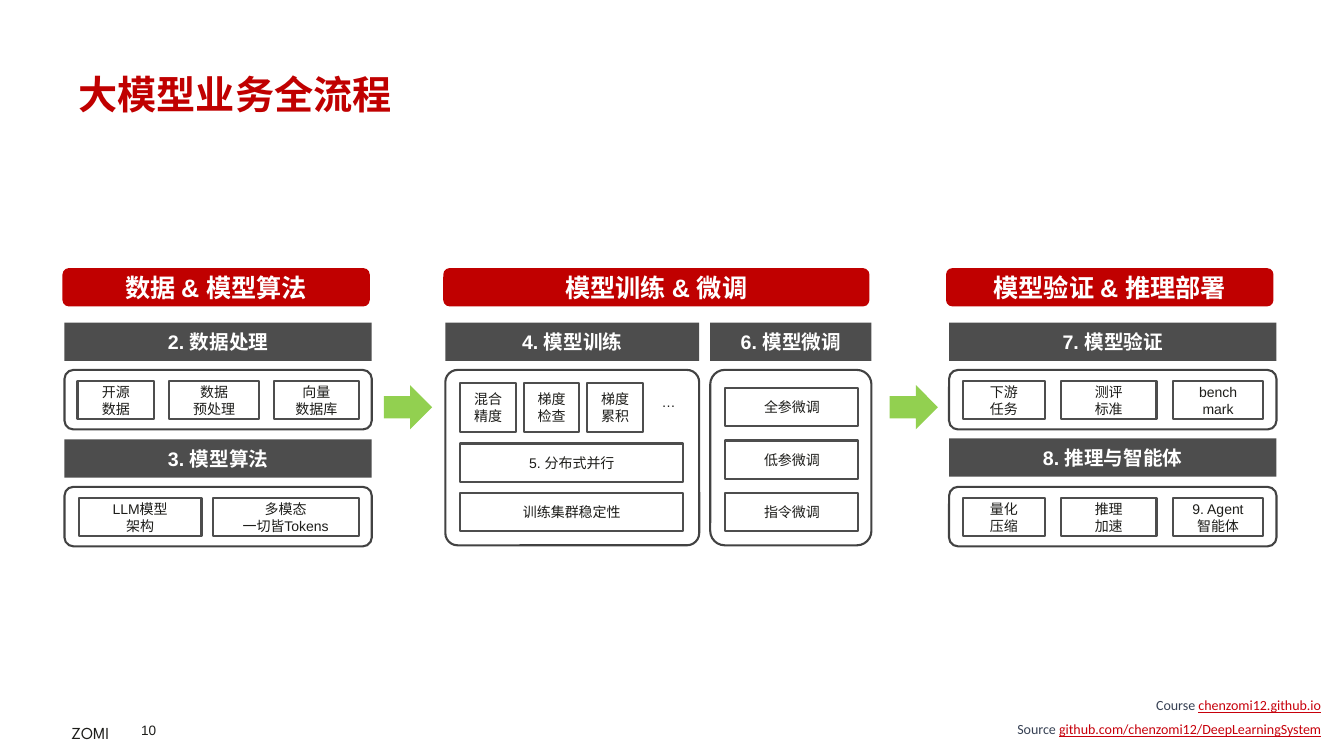
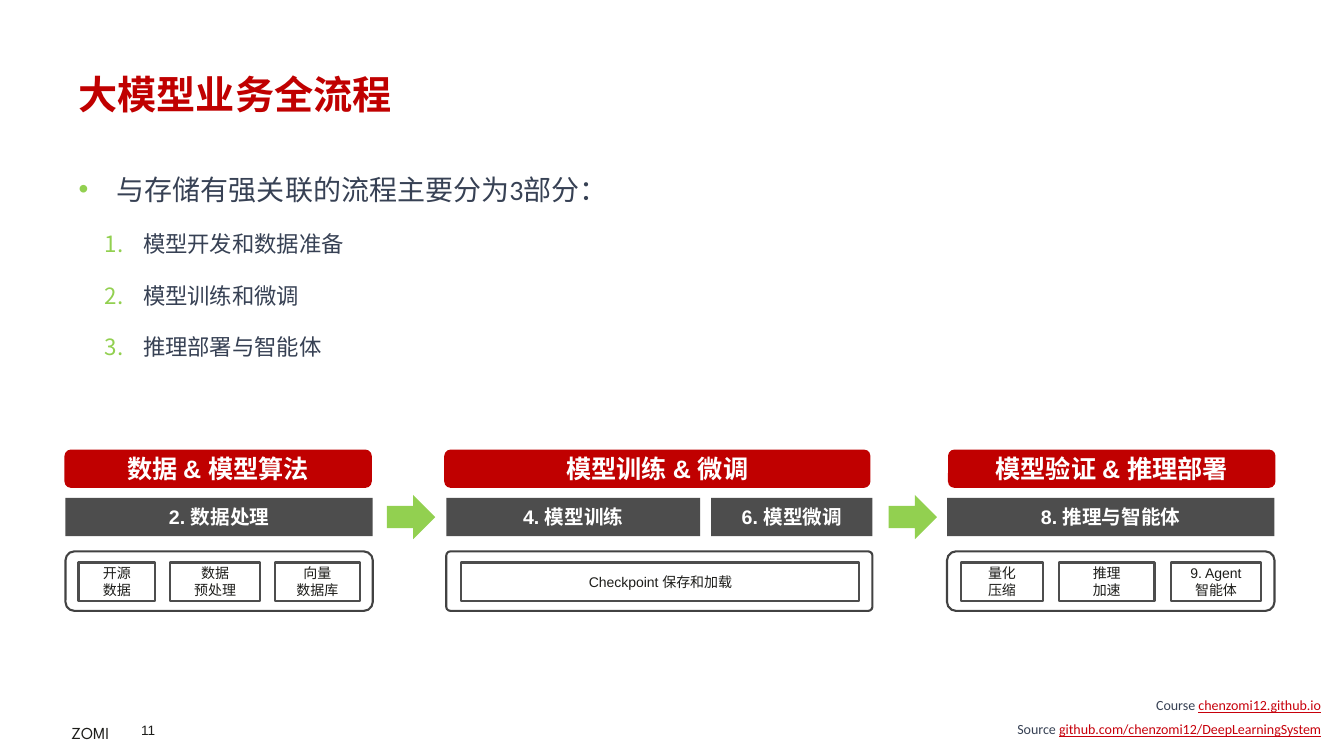
from collections import namedtuple

from lxml.etree import SubElement
from pptx import Presentation
from pptx.dml.color import RGBColor
from pptx.enum.lang import MSO_LANGUAGE_ID as Language
from pptx.enum.shapes import MSO_SHAPE as Shape
from pptx.enum.text import MSO_ANCHOR as Anchor, MSO_AUTO_SIZE as AutoSize, PP_ALIGN as Align
from pptx.oxml.ns import qn
from pptx.util import Inches, Pt

COLORS = {
    "title": "C00000",
    "heading": "4D4D4D",
    "panel": "424242",
    "accent": "92D050",
    "white": "FFFFFF",
    "ink": "1D1D1A",
    "body": "374154",
    "link": "C7000B",
}
TITLE_FONT = {"name": "League Spartan", "size": 28, "color": "title", "bold": True}
BANNER_FONT = {"name": "Arial", "size": 18, "color": "white", "bold": True}
HEADING_FONT = {"name": "Arial", "size": 14, "color": "white", "bold": True}
CELL_FONT = {"name": "Arial", "size": 10, "color": "ink"}
BODY_FONT = {"name": "Calibri", "size": 20, "color": "body"}
STEP_FONT = {**BODY_FONT, "size": 16}
AUTHOR_FONT = {"name": "League Spartan", "size": 12, "color": "ink"}
PAGE_FONT = {"name": "Arial", "size": 9.7, "color": "ink"}
FOOTER_FONT = {"name": "Calibri", "size": 10, "color": "body"}
LINK_FONT = {**FOOTER_FONT, "color": "link", "underline": True}

BAR_HEIGHT = 0.38
PANEL_HEIGHT = 0.59

# Offsets of a cell are measured from the corner of its panel
Cell = namedtuple("Cell", "text left width top height", defaults=(0.11, 0.38))


def cell_row(texts, lefts, widths):
    return [Cell(*values) for values in zip(texts, lefts, widths)]


def data_cells():
    return cell_row(["开源\n数据", "数据\n预处理", "向量\n数据库"],
                    [0.13, 1.04, 2.08], [0.76, 0.89, 0.84])


def serving_cells(texts):
    return cell_row(texts, [0.14, 1.11, 2.22], [0.81, 0.95, 0.9])


AGENT_CELLS = serving_cells(["量化\n压缩", "推理\n加速", "9. Agent\n智能体"])


def rgb(name):
    return RGBColor.from_string(COLORS[name])


def style_font(font, style):
    font.language_id = Language.SIMPLIFIED_CHINESE
    for key, value in style.items():
        if key == "color":
            font.color.rgb = rgb(value)
        else:
            setattr(font, key, Pt(value) if key == "size" else value)


def add_run(paragraph, text, style):
    run = paragraph.add_run()
    run.text = text
    style_font(run.font, style)


def write(frame, text, style, align=Align.CENTER):
    """Write each line of the text as one paragraph."""
    for index, line in enumerate(text.split("\n")):
        paragraph = frame.add_paragraph() if index else frame.paragraphs[0]
        paragraph.alignment = align
        add_run(paragraph, line, style)


def place(shape, box):
    for side, value in zip(("left", "top", "width", "height"), box):
        setattr(shape, side, Inches(value))


def add_block(slide, kind, box, fill=None, line=None, text="", style=CELL_FONT):
    shape = slide.shapes.add_shape(kind, *map(Inches, box))
    shape.shadow.inherit = False
    if fill:
        shape.fill.solid()
        shape.fill.fore_color.rgb = rgb(fill)
    else:
        shape.fill.background()
    if line:
        shape.line.color.rgb = rgb(line)
        shape.line.width = Pt(1.5)
    else:
        shape.line.fill.background()
    if text:
        shape.text_frame.vertical_anchor = Anchor.MIDDLE
        write(shape.text_frame, text, style)
    return shape


def add_text(slide, box, pieces, align=Align.LEFT, spacing=1.0, anchor=Anchor.TOP, margin=None):
    """Add a one-paragraph text box made of (text, style) pieces."""
    frame = slide.shapes.add_textbox(*map(Inches, box)).text_frame
    frame.word_wrap = True
    frame.vertical_anchor = anchor
    if margin is not None:
        for side in ("left", "top", "right", "bottom"):
            setattr(frame, f"margin_{side}", Inches(margin))
    paragraph = frame.paragraphs[0]
    paragraph.alignment = align
    paragraph.line_spacing = spacing
    for text, style in pieces:
        add_run(paragraph, text, style)


def add_banner(slide, left, top, width, text):
    add_block(slide, Shape.ROUNDED_RECTANGLE, (left, top, width, BAR_HEIGHT),
              fill="title", text=text, style=BANNER_FONT)


def add_heading(slide, left, top, width, text):
    add_block(slide, Shape.RECTANGLE, (left, top, width, BAR_HEIGHT),
              fill="heading", text=text, style=HEADING_FONT)


def add_panel(slide, left, top, width, cells, height=PANEL_HEIGHT, corner=0.15):
    panel = add_block(slide, Shape.ROUNDED_RECTANGLE, (left, top, width, height), line="panel")
    panel.adjustments[0] = corner
    for cell in cells:
        add_block(slide, Shape.RECTANGLE,
                  (left + cell.left, top + cell.top, cell.width, cell.height),
                  line="heading", text=cell.text)


def add_section(slide, left, top, width, heading, cells, gap=0.47, **panel_format):
    """Add a heading bar with a panel of cells below it."""
    add_heading(slide, left, top, width, heading)
    add_panel(slide, left, top + gap, width, cells, **panel_format)


def add_arrows(slide, top, lefts):
    for left in lefts:
        add_block(slide, Shape.RIGHT_ARROW, (left, top, 0.48, 0.44), fill="accent")


def add_banners(slide, top, lefts):
    texts = ["数据 & 模型算法", "模型训练 & 微调", "模型验证 & 推理部署"]
    for left, width, text in zip(lefts, [3.05, 4.23, 3.25], texts):
        add_banner(slide, left, top, width, text)


def add_footer(slide, number):
    add_text(slide, (0.61, 7.08, 0.8, 0.32), [("ZOMI", AUTHOR_FONT)], spacing=1.2)
    add_text(slide, (1.4, 7.16, 0.55, 0.16), [(str(number), PAGE_FONT)], margin=0)
    add_text(slide, (9.27, 6.85, 3.94, 0.29),
             [("Course ", FOOTER_FONT), ("chenzomi12.github.io", LINK_FONT)],
             align=Align.RIGHT, anchor=Anchor.MIDDLE)
    add_text(slide, (9.27, 7.07, 3.94, 0.29),
             [("Source ", FOOTER_FONT), ("github.com/chenzomi12/DeepLearningSystem", LINK_FONT)],
             align=Align.RIGHT, spacing=1.2)


def start_slide(presentation, layout_index, number):
    """Add a slide with the shared title and footer."""
    slide = presentation.slides.add_slide(presentation.slide_layouts[layout_index])
    title = slide.shapes.title
    place(title, (0.68, 0.61, 11.99, 0.64))
    frame = title.text_frame
    frame.auto_size = AutoSize.NONE
    frame.vertical_anchor = Anchor.MIDDLE
    write(frame, "大模型业务全流程", TITLE_FONT, Align.LEFT)
    frame.paragraphs[0].line_spacing = Pt(34.4)
    add_footer(slide, number)
    return slide


def add_bullet(paragraph, indent, tag, **attributes):
    properties = paragraph._p.get_or_add_pPr()
    properties.set("marL", str(Inches(indent)))
    properties.set("indent", str(Inches(-0.38)))
    color = SubElement(properties, qn("a:buClr"))
    SubElement(color, qn("a:srgbClr"), val=COLORS["accent"])
    SubElement(properties, qn("a:buFont"), typeface="Arial")
    SubElement(properties, qn(tag), **attributes)


def fill_outline(body, lead, steps):
    place(body, (0.68, 1.49, 11.99, 5.46))
    frame = body.text_frame
    frame.auto_size = AutoSize.NONE
    write(frame, lead, BODY_FONT, Align.LEFT)
    add_bullet(frame.paragraphs[0], 0.38, "a:buChar", char="•")
    for step in steps:
        paragraph = frame.add_paragraph()
        paragraph.level = 1
        add_bullet(paragraph, 0.64, "a:buAutoNum", type="arabicPeriod")
        add_run(paragraph, step, STEP_FONT)
    for paragraph in frame.paragraphs:
        paragraph.line_spacing = 1.5
        paragraph.space_before = Pt(0)
        paragraph.space_after = Pt(8)


def add_data_stage(slide, left, top):
    add_section(slide, left, top, 3.05, "2. 数据处理", data_cells())
    models = cell_row(["LLM模型\n架构", "多模态\n一切皆Tokens"], [0.14, 1.47], [1.22, 1.45])
    add_section(slide, left, top + 1.16, 3.05, "3. 模型算法", models)


def add_training_stage(slide, left, top):
    checks = ["混合精度", "梯度检查", "梯度累积"]
    cells = [Cell(text, 0.15 + 0.63 * index, 0.55, 0.13, 0.49)
             for index, text in enumerate(checks)]
    cells += [Cell("5. 分布式并行", 0.15, 2.21, 0.73), Cell("训练集群稳定性", 0.15, 2.21, 1.22)]
    add_section(slide, left, top, 2.52, "4. 模型训练", cells, height=1.74, corner=0.07)
    add_text(slide, (left + 2.02, top + 0.65, 0.39, 0.27), [("…", CELL_FONT)], align=Align.CENTER)
    tuning = [Cell(text, 0.15, 1.32, 0.18 + 0.52 * index)
              for index, text in enumerate(["全参微调", "低参微调", "指令微调"])]
    add_section(slide, left + 2.63, top, 1.6, "6. 模型微调", tuning, height=1.74, corner=0.09)


def add_serving_stage(slide, left, top):
    checks = serving_cells(["下游\n任务", "测评\n标准", "bench\nmark"])
    add_section(slide, left, top, 3.25, "7. 模型验证", checks)
    add_section(slide, left, top + 1.15, 3.25, "8. 推理与智能体", AGENT_CELLS, gap=0.48)


def add_full_flow_slide(presentation):
    slide = start_slide(presentation, 5, 10)
    add_banners(slide, 2.66, [0.62, 4.4, 9.39])
    add_data_stage(slide, 0.64, 3.2)
    add_training_stage(slide, 4.42, 3.2)
    add_serving_stage(slide, 9.42, 3.2)
    add_arrows(slide, 3.82, [3.81, 8.83])


def add_storage_flow_slide(presentation):
    slide = start_slide(presentation, 1, 11)
    fill_outline(slide.placeholders[1], "与存储有强关联的流程主要分为3部分：",
                 ["模型开发和数据准备", "模型训练和微调", "推理部署与智能体"])
    top, gap = 4.94, 0.53
    add_banners(slide, 4.46, [0.64, 4.41, 9.41])
    add_section(slide, 0.65, top, 3.05, "2. 数据处理", data_cells(), gap)
    add_heading(slide, 4.43, top, 2.52, "4. 模型训练")
    add_heading(slide, 7.06, top, 1.6, "6. 模型微调")
    add_panel(slide, 4.43, top + gap, 4.23, [Cell("Checkpoint 保存和加载", 0.15, 3.95)], corner=0.07)
    add_section(slide, 9.4, top, 3.25, "8. 推理与智能体", AGENT_CELLS, gap)
    add_arrows(slide, 4.91, [3.84, 8.82])


def main():
    presentation = Presentation()
    presentation.slide_width = Inches(13.34)
    presentation.slide_height = Inches(7.5)
    add_full_flow_slide(presentation)
    add_storage_flow_slide(presentation)
    presentation.save("out.pptx")


if __name__ == "__main__":
    main()
